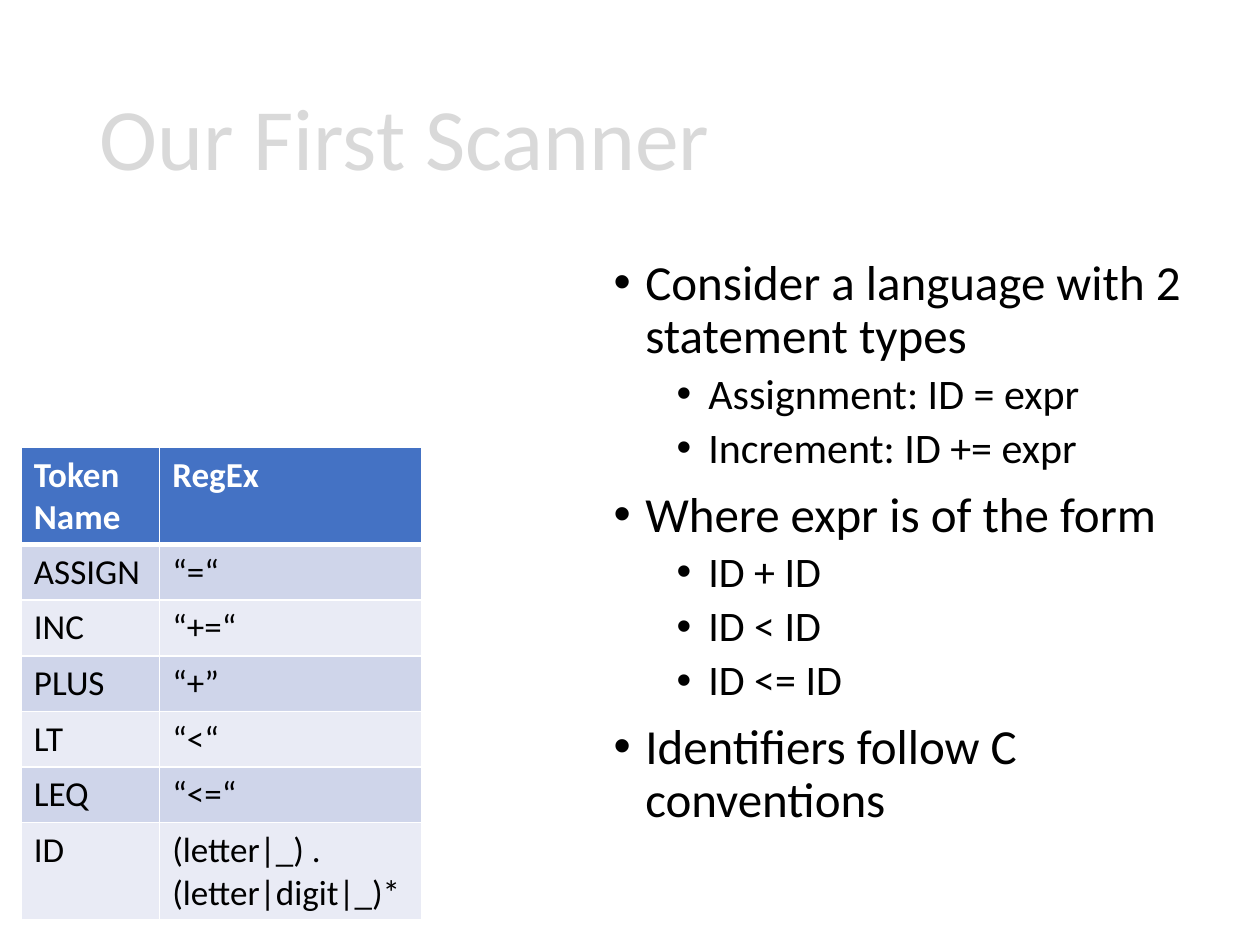
from typing import NamedTuple

from lxml.etree import SubElement
from pptx import Presentation
from pptx.dml.color import RGBColor
from pptx.enum.text import MSO_ANCHOR, MSO_AUTO_SIZE, PP_ALIGN
from pptx.oxml.ns import qn
from pptx.util import Cm, Pt

FONT = "Calibri"
BLACK = RGBColor(0x00, 0x00, 0x00)
WHITE = RGBColor(0xFF, 0xFF, 0xFF)
TITLE_GREY = RGBColor(0xD9, 0xD9, 0xD9)
HEADER_BLUE = RGBColor(0x44, 0x72, 0xC4)
BANDS = (RGBColor(0xCF, 0xD5, 0xEA), RGBColor(0xE9, 0xEB, 0xF5))


class Level(NamedTuple):
    size: int
    space_before: int
    indent: float


class Bullet(NamedTuple):
    text: str
    level: int = 0


class Token(NamedTuple):
    name: str
    regex: str


LEVELS = (Level(28, 10, 0.64), Level(24, 5, 1.91))
HANGING = Cm(0.64)

BULLETS = (
    Bullet("Consider a language with 2 statement types"),
    Bullet("Assignment: ID = expr", 1),
    Bullet("Increment: ID += expr", 1),
    Bullet("Where expr is of the form"),
    Bullet("ID + ID", 1),
    Bullet("ID < ID", 1),
    Bullet("ID <= ID", 1),
    Bullet("Identifiers follow C conventions"),
)
HEADER = Token("Token Name", "RegEx")
TOKENS = (
    Token("ASSIGN", "“=“"),
    Token("INC", "“+=“"),
    Token("PLUS", "“+”"),
    Token("LT", "“<“"),
    Token("LEQ", "“<=“"),
    Token("ID", "(letter|_) . (letter|digit|_)*"),
)
COLUMN_WIDTHS = (2.79, 5.28)
ROW_HEIGHTS = (1.96, 1.12, 1.12, 1.12, 1.12, 1.12, 1.96)


def style_font(para, size: int, color: RGBColor, bold: bool = False) -> None:
    font = para.font
    font.name, font.size, font.bold = FONT, Pt(size), bold
    font.color.rgb = color


def add_title(page, text: str) -> None:
    title = page.shapes.title
    title.left, title.top = Cm(1.75), Cm(1.02)
    title.width, title.height = Cm(21.9), Cm(3.68)
    frame = title.text_frame
    frame.text = text
    frame.auto_size = MSO_AUTO_SIZE.NONE
    frame.vertical_anchor = MSO_ANCHOR.MIDDLE
    para = frame.paragraphs[0]
    para.alignment = PP_ALIGN.LEFT
    para.line_spacing = 0.9
    style_font(para, 50, TITLE_GREY)


def add_bullet_mark(para, indent: int) -> None:
    properties = para._p.get_or_add_pPr()
    properties.set("marL", str(indent))
    properties.set("indent", str(-HANGING))
    mark_font = properties.makeelement(qn("a:buFont"), {"typeface": "Arial"})
    mark = properties.makeelement(qn("a:buChar"), {"char": "•"})
    default_run = properties.find(qn("a:defRPr"))
    default_run.addprevious(mark_font)
    default_run.addprevious(mark)


def add_bullets(page, bullets: tuple[Bullet, ...]) -> None:
    box = page.shapes.add_textbox(Cm(12.12), Cm(5.08), Cm(12.32), Cm(12.09))
    frame = box.text_frame
    frame.word_wrap = True
    frame.text = "\n".join(bullet.text for bullet in bullets)
    for para, bullet in zip(frame.paragraphs, bullets):
        level = LEVELS[bullet.level]
        para.level = bullet.level
        para.line_spacing = 0.9
        para.space_before = Pt(level.space_before)
        style_font(para, level.size, BLACK)
        add_bullet_mark(para, Cm(level.indent))


def set_borders(cell, bottom: int, top: int) -> None:
    """Draw white borders; bottom and top are widths in points."""
    properties = cell._tc.get_or_add_tcPr()
    widths = {"a:lnL": 1, "a:lnR": 1, "a:lnT": top, "a:lnB": bottom}
    for position, (tag, width) in enumerate(widths.items()):
        line = properties.makeelement(qn(tag), {"w": str(Pt(width))})
        fill = SubElement(line, qn("a:solidFill"))
        SubElement(fill, qn("a:srgbClr"), val=str(WHITE))
        properties.insert(position, line)


def add_token_table(page, rows: tuple[Token, ...]) -> None:
    table = page.shapes.add_table(
        len(rows), len(COLUMN_WIDTHS), Cm(0.43), Cm(9.02),
        Cm(sum(COLUMN_WIDTHS)), Cm(sum(ROW_HEIGHTS)),
    ).table
    for column, width in zip(table.columns, COLUMN_WIDTHS):
        column.width = Cm(width)
    for index, (row, height, token) in enumerate(zip(table.rows, ROW_HEIGHTS, rows)):
        row.height = Cm(height)
        is_header = index == 0
        for cell, text in zip(row.cells, token):
            cell.text = text
            cell.fill.solid()
            cell.fill.fore_color.rgb = HEADER_BLUE if is_header else BANDS[(index - 1) % 2]
            style_font(cell.text_frame.paragraphs[0], 20,
                       WHITE if is_header else BLACK, is_header)
            set_borders(cell, bottom=3 if is_header else 1, top=3 if index == 1 else 1)


def main() -> None:
    deck = Presentation()
    deck.slide_width, deck.slide_height = Cm(25.4), Cm(19.05)
    page = deck.slides.add_slide(deck.slide_layouts.get_by_name("Title Only"))
    add_title(page, "Our First Scanner")
    add_bullets(page, BULLETS)
    add_token_table(page, (HEADER, *TOKENS))
    deck.save("out.pptx")


if __name__ == "__main__":
    main()
